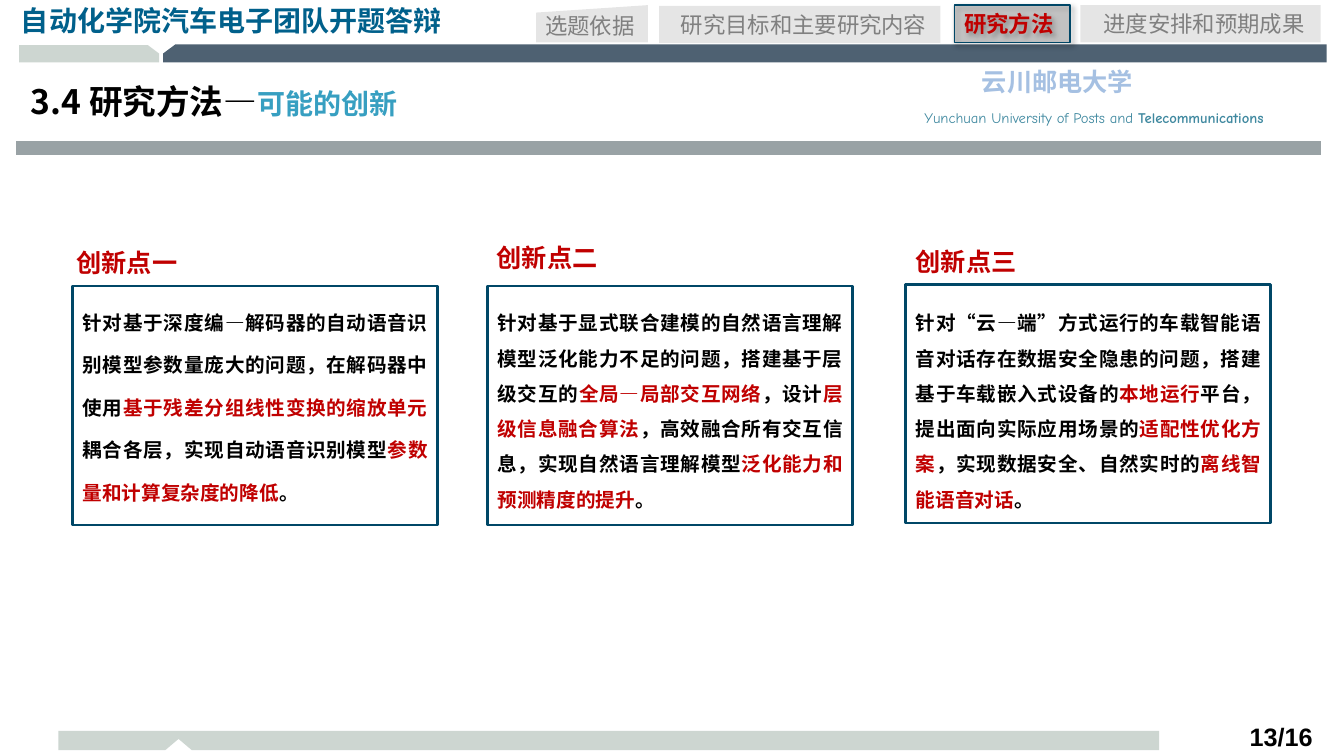
"""Build the slide on possible innovations of the research method."""
from dataclasses import dataclass

from lxml.etree import SubElement
from pptx import Presentation
from pptx.dml.color import RGBColor
from pptx.enum.shapes import MSO_SHAPE
from pptx.enum.text import MSO_ANCHOR, PP_ALIGN
from pptx.oxml.ns import qn
from pptx.util import Cm, Pt


@dataclass(frozen=True)
class Theme:
    black: str = "000000"
    red: str = "C00000"
    gray: str = "808080"
    navy: str = "004767"
    title: str = "00608B"
    accent: str = "379FC1"
    school: str = "A5C0E2"
    school_en: str = "4089A0"
    pale: str = "CDD6D1"
    slate: str = "4E6172"
    rule: str = "99A2A5"
    cjk: str = "Noto Sans CJK SC"
    latin: str = "Arial"
    hand: str = "Comic Neue"
    section: int = 24
    heading: int = 20
    label: int = 18
    tab: int = 16
    body: int = 14
    small: float = 10.5


def paint(sp, fill=None, line=None, width=0, alpha=None):
    sp.shadow.inherit = False
    if fill:
        sp.fill.solid()
        sp.fill.fore_color.rgb = RGBColor.from_string(fill)
        if alpha:
            color = sp.fill._xPr.find(qn("a:solidFill"))[0]
            SubElement(color, qn("a:alpha"), val=str(alpha * 1000))
    else:
        sp.fill.background()
    if line:
        sp.line.color.rgb = RGBColor.from_string(line)
        sp.line.width = Pt(width)
    else:
        sp.line.fill.background()


def add_text(box, runs, size, color=None, font=Theme.cjk, bold=True, para=None, frame=None):
    sp = s.shapes.add_textbox(*map(Cm, box))
    tf = sp.text_frame
    for key, value in {"word_wrap": True, **(frame or {})}.items():
        setattr(tf, key, value)
    p = tf.paragraphs[0]
    for key, value in (para or {}).items():
        setattr(p, key, value)
    for text, changes in runs:
        r = p.add_run()
        r.text = text
        style = {"size": size, "color": color, "bold": bold, **changes}
        r.font.color.rgb = RGBColor.from_string(style.pop("color"))
        style["size"] = Pt(style["size"])
        for key, value in {"name": font, **style}.items():
            setattr(r.font, key, value)
        SubElement(r._r.get_or_add_rPr(), qn("a:ea"), typeface=font)
    return sp


t = Theme()
prs = Presentation()
prs.slide_width, prs.slide_height = Cm(33.87), Cm(19.05)
s = prs.slides.add_slide(prs.slide_layouts[6])
center = {"alignment": PP_ALIGN.CENTER}

insets = {"margin_left": Cm(0.18), "margin_right": Cm(0.18),
          "margin_top": Cm(0.1), "margin_bottom": Cm(0.1)}
add_text((21.59, 2.64, 11.96, 0.64),
         [("Yunchuan University of Posts and ", {}), ("Telecommunications", {"bold": True})],
         t.small, t.school_en, t.hand, False, center, insets)
add_text((22.28, 1.57, 8.74, 0.97), [("云川邮电大学", {})], t.label, t.school,
         para=center, frame=insets)

bars = [
    (t.pale, [(29.21, 18.42), (29.21, 18.9), (4.83, 18.9), (4.5, 18.62),
              (4.17, 18.9), (1.47, 18.9), (1.47, 18.42)]),
    (t.pale, [(4.01, 1.57), (0.48, 1.57), (0.48, 1.14), (3.73, 1.14), (4.01, 1.35)]),
    (t.rule, [(0.41, 3.56), (33.3, 3.56), (33.3, 3.91), (0.41, 3.91)]),
    (t.slate, [(33.43, 1.12), (33.43, 1.57), (4.11, 1.57), (4.11, 1.35), (4.42, 1.12)]),
]
for color, points in bars:
    start, *rest = [(Cm(x), Cm(y)) for x, y in points]
    outline = s.shapes.build_freeform(*start)
    outline.add_line_segments(rest, close=True)
    paint(outline.convert_to_shape(), color)

add_text((30.43, 18.06, 2.9, 0.99), [("13/16", {})], t.label, t.black, t.latin,
         para={"alignment": PP_ALIGN.RIGHT})
add_text((0.28, -0.03, 11.2, 1.12), [("自动化学院汽车电子团队开题答辩", {})],
         t.heading, t.title, frame={"word_wrap": False})

tabs = [
    ("选题依据", MSO_SHAPE.FLOWCHART_MANUAL_INPUT, 13.51, 2.82, 0.13, 13.49, 2.84, 0.18, None),
    ("研究目标和主要研究内容", MSO_SHAPE.RECTANGLE, 16.61, 7.09, 0.15, 16.76, 6.99, 0.15, center),
    ("研究方法", MSO_SHAPE.RECTANGLE, 24.03, 2.95, 0.13, 24.05, 2.92, 0.13, None),
    ("进度安排和预期成果", MSO_SHAPE.RECTANGLE, 27.23, 6.05, 0.13, 27.36, 5.97, 0.13, center),
]
for name, kind, left, width, top, text_left, text_width, text_top, para in tabs:
    active = name == "研究方法"
    sp = s.shapes.add_shape(kind, Cm(left), Cm(top), Cm(width), Cm(0.94))
    paint(sp, t.gray, alpha=20)
    sp = add_text((text_left, text_top, text_width, 0.94), [(name, {})], t.tab,
                  t.red if active else t.gray, bold=active, para=para)
    if active:
        paint(sp, t.gray, t.navy, 1, alpha=20)
        effects = sp._element.spPr.find(qn("a:effectLst"))
        shadow = SubElement(effects, qn("a:outerShdw"), blurRad=str(Pt(4)), dist=str(Pt(3)),
                            dir="2700000", algn="tl", rotWithShape="0")
        color = SubElement(shadow, qn("a:srgbClr"), val=t.black)
        SubElement(color, qn("a:alpha"), val="40000")

add_text((0.53, 1.85, 17.91, 1.4),
         [("3.4 研究方法—", {}), ("可能的创新", {"size": t.heading, "color": t.accent})],
         t.section, t.black, frame={"vertical_anchor": MSO_ANCHOR.MIDDLE})

innovations = [
    ("创新点一", 1.68, 6.1, 1.83, 7.21, 7.24, 1.8, [
        "针对基于深度编—解码器的自动语音识别模型参数量庞大的问题，在解码器中使用",
        "基于残差分组线性变换的缩放单元", "耦合各层，实现自动语音识别模型",
        "参数量和计算复杂度的降低", "。"]),
    ("创新点二", 12.27, 5.99, 12.29, 7.21, 7.42, 1.5, [
        "针对基于显式联合建模的自然语言理解模型泛化能力不足的问题，搭建基于层级交互的",
        "全局—局部交互网络", "，设计", "层级信息融合算法",
        "，高效融合所有交互信息，实现自然语言理解模型", "泛化能力和预测精度的提升", "。"]),
    ("创新点三", 22.83, 6.07, 22.83, 7.16, 7.42, 1.5, [
        "针对“云—端”方式运行的车载智能语音对话存在数据安全隐患的问题，搭建基于车载嵌入式设备的",
        "本地运行", "平台，提出面向实际应用场景的", "适配性优化方案",
        "，实现数据安全、自然实时的", "离线智能语音对话", "。"]),
]
for name, name_left, name_top, left, top, text_top, spacing, parts in innovations:
    sp = s.shapes.add_shape(MSO_SHAPE.RECTANGLE, Cm(left), Cm(top), Cm(9.2), Cm(6.02))
    paint(sp, line=t.navy, width=2)
    add_text((name_left, name_top, 4.01, 1.02), [(name, {})], t.label, t.red)
    runs = [(part, {"color": t.red if i % 2 else t.black}) for i, part in enumerate(parts)]
    add_text((left, text_top, 9.2, 5.5), runs, t.body,
             para={"alignment": PP_ALIGN.JUSTIFY, "line_spacing": spacing})

prs.save("out.pptx")
